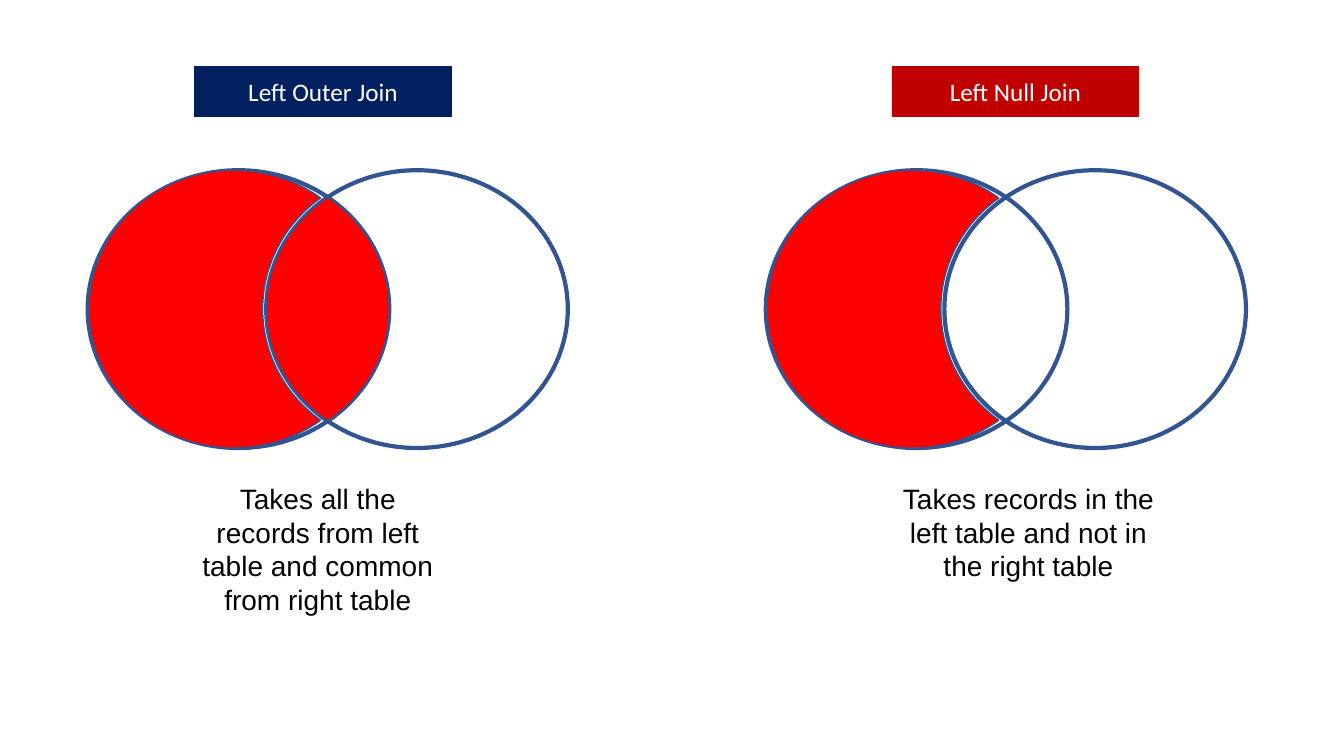
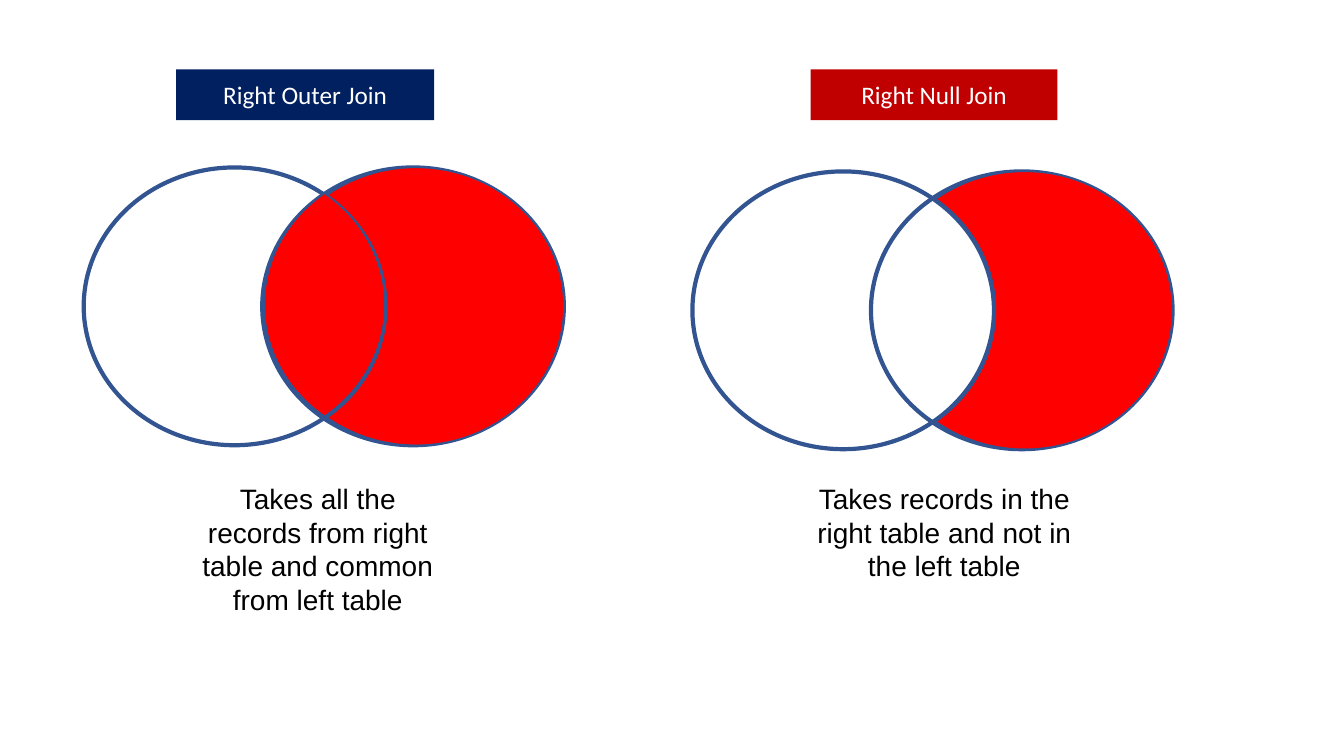
import math

import lxml.etree
import pptx
import pptx.dml.color
import pptx.enum.shapes
import pptx.enum.text
import pptx.oxml.ns
import pptx.util

Cm = pptx.util.Cm
Pt = pptx.util.Pt
RGBColor = pptx.dml.color.RGBColor
SHAPE = pptx.enum.shapes.MSO_SHAPE
TEXT = pptx.enum.text
qn = pptx.oxml.ns.qn

NAVY = RGBColor(0x00, 0x20, 0x60)
CRIMSON = RGBColor(0xC0, 0x00, 0x00)
RED = RGBColor(0xFF, 0x00, 0x00)
BLUE = RGBColor(0x32, 0x54, 0x91)
WHITE = RGBColor(0xFF, 0xFF, 0xFF)
BLACK = RGBColor(0x00, 0x00, 0x00)

# Positions are (left, top), caption sizes are (width, height), all in centimetres.
SLIDES = [
    [
        {"label": "Left Outer Join", "color": NAVY, "banner": (4.89, 1.67), "banner_width": 6.5,
         "circles": (2.21, 4.29), "regions": ["left crescent", "left lens"],
         "caption": "Takes all the records from left table and common from right table",
         "caption_left": 4.63, "caption_size": (6.76, 2.82)},
        {"label": "Left Null Join", "color": CRIMSON, "banner": (22.48, 1.67), "banner_width": 6.22,
         "circles": (19.3, 4.29), "regions": ["left crescent"],
         "caption": "Takes records in the left table and not in the right table",
         "caption_left": 22.21, "caption_size": (7.42, 1.96)},
    ],
    [
        {"label": "Right Outer Join", "color": NAVY, "banner": (4.44, 1.75), "banner_width": 6.5,
         "circles": (2.11, 4.22), "regions": ["right crescent", "right lens"],
         "caption": "Takes all the records from right table and common from left table",
         "caption_left": 4.63, "caption_size": (6.76, 2.82)},
        {"label": "Right Null Join", "color": CRIMSON, "banner": (20.43, 1.75), "banner_width": 6.22,
         "circles": (17.45, 4.32), "regions": ["right crescent"],
         "caption": "Takes records in the right table and not in the left table",
         "caption_left": 20.17, "caption_size": (7.26, 1.96)},
    ],
]

BANNER_HEIGHT = 1.28
CAPTION_TOP = 12.01
RADIUS_X, RADIUS_Y = 3.8, 3.5
SEPARATION = 4.5

# Horizontal radius, half the distance between centres, shift of the middle (x, y)
REGIONS = {
    "left crescent": (3.65, 2.19, -0.18, 0),
    "right crescent": (3.73, 2.23, 0.09, 0),
    "left lens": (3.8, 2.25, 0, 0),
    "right lens": (3.77, 2.25, 0.02, -0.04),
}


def add_centred_run(text_frame, text, font_name, size, color):
    text_frame.word_wrap = True
    paragraph = text_frame.paragraphs[0]
    paragraph.alignment = TEXT.PP_ALIGN.CENTER
    run = paragraph.add_run()
    run.text = text
    run.font.name = font_name
    run.font.size = Pt(size)
    run.font.color.rgb = color


def add_banner(slide, join):
    left, top = join["banner"]
    banner = slide.shapes.add_shape(
        SHAPE.RECTANGLE, Cm(left), Cm(top), Cm(join["banner_width"]), Cm(BANNER_HEIGHT))
    banner.shadow.inherit = False
    banner.fill.solid()
    banner.fill.fore_color.rgb = join["color"]
    banner.line.fill.background()
    banner.text_frame.vertical_anchor = TEXT.MSO_ANCHOR.MIDDLE
    add_centred_run(banner.text_frame, join["label"], "Calibri", 18, WHITE)


def outline(shape, width):
    shape.shadow.inherit = False
    shape.line.color.rgb = BLUE
    shape.line.width = Pt(width)


def arc_curves(center_x, radius_x, angles):
    """Bezier curves (start, control, control, end) along an ellipse around (center_x, 0)."""
    curves = []
    for start, end in zip(angles, angles[1:]):
        reach = 4 / 3 * math.tan((end - start) / 4)
        corners = []
        for angle, pull in ((start, reach), (end, -reach)):
            cosine, sine = math.cos(angle), math.sin(angle)
            corners.append((center_x + radius_x * cosine, RADIUS_Y * sine))
            corners.append((center_x + radius_x * (cosine - pull * sine),
                            RADIUS_Y * (sine + pull * cosine)))
        curves.append((corners[0], corners[1], corners[3], corners[2]))
    return curves


def region_curves(region, middle_x, middle_y):
    """Closed outline of a crescent or lens, in slide units."""
    radius_x, half, shift_x, shift_y = REGIONS[region]
    tip = math.acos(half / radius_x)
    if region.endswith("lens"):
        left_arc = [-tip, 0, tip]
        right_arc = [math.pi - tip, math.pi, math.pi + tip]
    else:
        left_arc = [tip, math.pi / 2, math.pi, 3 * math.pi / 2, 2 * math.pi - tip]
        right_arc = [math.pi + tip, math.pi, math.pi - tip]
    curves = arc_curves(-half, radius_x, left_arc) + arc_curves(half, radius_x, right_arc)
    mirror = -1 if region.startswith("right") else 1
    return [[(Cm(middle_x + shift_x + mirror * x), Cm(middle_y + shift_y + y))
             for x, y in curve] for curve in curves]


def add_curved_freeform(slide, curves):
    builder = slide.shapes.build_freeform(*curves[0][0])
    builder.add_line_segments([curve[-1] for curve in curves], close=True)
    freeform = builder.convert_to_shape()
    segments = list(freeform.element.iter(qn("a:lnTo")))
    for segment, curve in zip(segments, curves):
        bezier = lxml.etree.Element(qn("a:cubicBezTo"))
        for x, y in curve[1:]:
            lxml.etree.SubElement(bezier, qn("a:pt"),
                                  x=str(x - freeform.left), y=str(y - freeform.top))
        segment.getparent().replace(segment, bezier)
    return freeform


def add_diagram(slide, join):
    left, top = join["circles"]
    for offset in (0, SEPARATION):
        circle = slide.shapes.add_shape(
            SHAPE.OVAL, Cm(left + offset), Cm(top), Cm(2 * RADIUS_X), Cm(2 * RADIUS_Y))
        circle.fill.background()
        outline(circle, 3)

    middle_x = left + RADIUS_X + SEPARATION / 2
    middle_y = top + RADIUS_Y
    for region in join["regions"]:
        area = add_curved_freeform(slide, region_curves(region, middle_x, middle_y))
        area.fill.solid()
        area.fill.fore_color.rgb = RED
        outline(area, 1)


def add_caption(slide, join):
    width, height = join["caption_size"]
    caption = slide.shapes.add_textbox(
        Cm(join["caption_left"]), Cm(CAPTION_TOP), Cm(width), Cm(height))
    caption.text_frame.auto_size = TEXT.MSO_AUTO_SIZE.SHAPE_TO_FIT_TEXT
    add_centred_run(caption.text_frame, join["caption"], "Arial", 20, BLACK)


def main():
    presentation = pptx.Presentation()
    presentation.slide_width = Cm(33.87)
    presentation.slide_height = Cm(19.05)
    blank_layout = presentation.slide_layouts.get_by_name("Blank")
    for joins in SLIDES:
        slide = presentation.slides.add_slide(blank_layout)
        for join in joins:
            add_banner(slide, join)
            add_diagram(slide, join)
        for join in joins:
            add_caption(slide, join)
    presentation.save("out.pptx")


if __name__ == "__main__":
    main()
